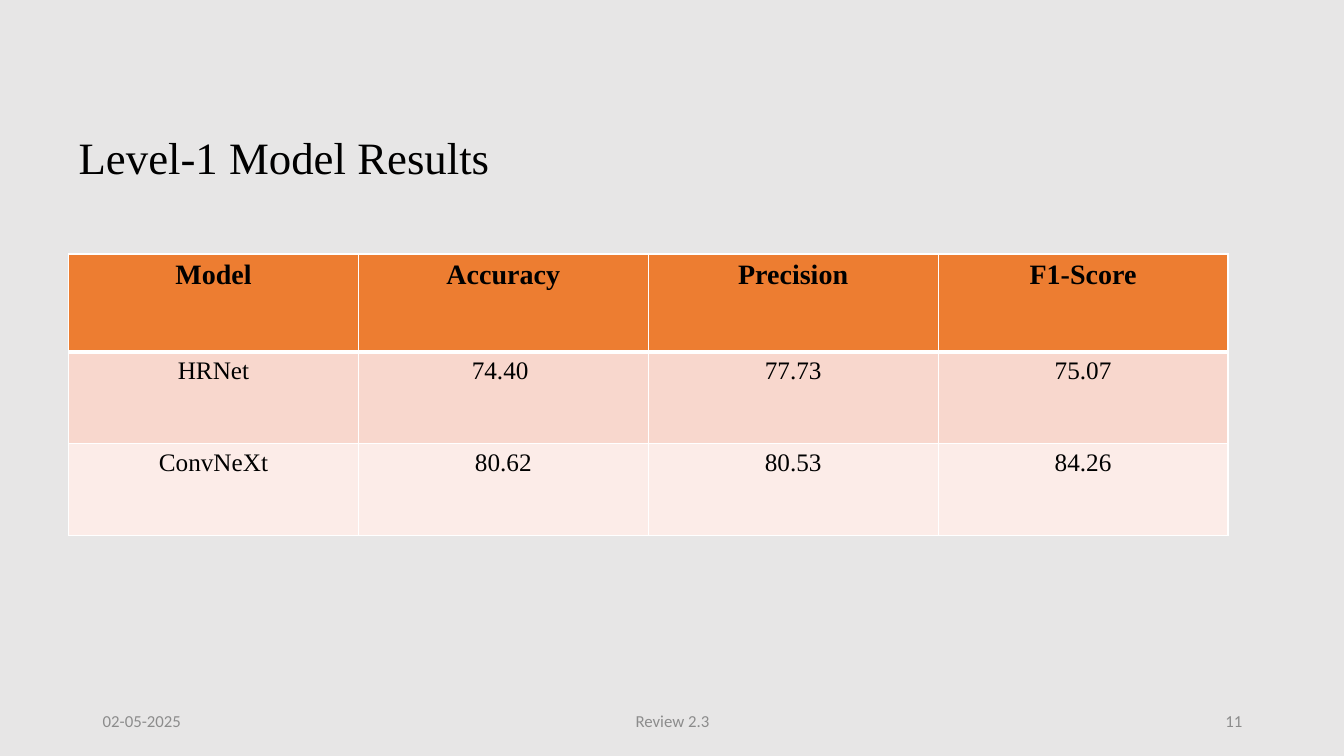
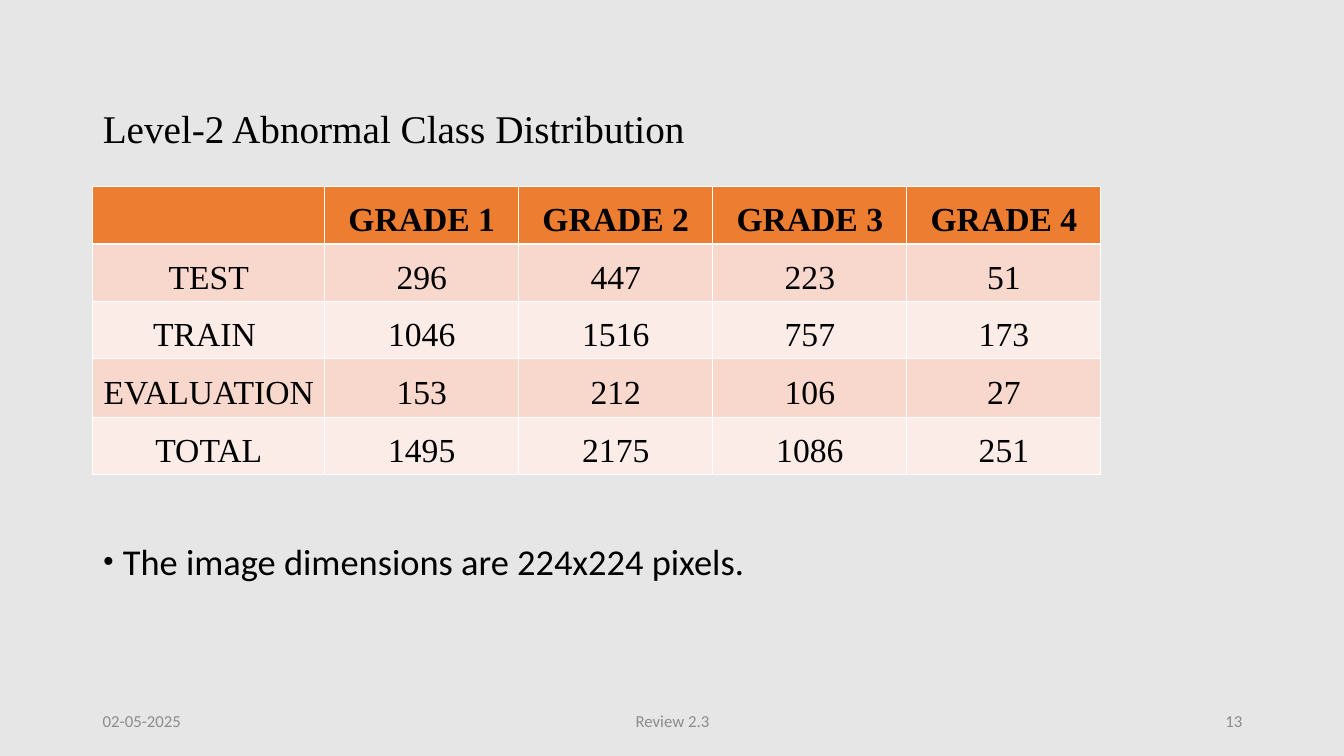
from pptx import Presentation
from pptx.dml.color import RGBColor
from pptx.enum.text import MSO_ANCHOR, PP_ALIGN
from pptx.oxml import parse_xml
from pptx.oxml.ns import nsdecls
from pptx.util import Inches, Pt

BACKGROUND = RGBColor(0xE7, 0xE6, 0xE6)
ORANGE = RGBColor(0xED, 0x7D, 0x31)
BAND_DARK = RGBColor(0xF8, 0xD7, 0xCD)
BAND_LIGHT = RGBColor(0xFC, 0xEC, 0xE8)
WHITE = RGBColor(0xFF, 0xFF, 0xFF)
BLACK = RGBColor(0, 0, 0)
GREY = RGBColor(0x8C, 0x8C, 0x8C)
SERIF, SANS = "Times New Roman", "Calibri"
TITLE_ONLY = 5


def set_font(paragraph, name, size, color=BLACK, bold=False):
    for run in paragraph.runs:
        font = run.font
        font.name, font.size, font.bold = name, Pt(size), bold
        font.color.rgb = color


def set_borders(cell, widths):
    """Draw white cell borders; widths maps L, R, T and B to points."""
    properties = cell._tc.get_or_add_tcPr()
    for side in "LRTB":
        properties.append(parse_xml(
            f'<a:ln{side} {nsdecls("a")} w="{Pt(widths[side])}"><a:solidFill>'
            f'<a:srgbClr val="{WHITE}"/></a:solidFill></a:ln{side}>'))


class Deck:
    def __init__(self):
        self.presentation = Presentation()
        self.presentation.slide_width = Inches(13.33)
        self.presentation.slide_height = Inches(7.5)
        self.slide = None

    def add_slide(self, number):
        layout = self.presentation.slide_layouts[TITLE_ONLY]
        self.slide = self.presentation.slides.add_slide(layout)
        fill = self.slide.background.fill
        fill.solid()
        fill.fore_color.rgb = BACKGROUND
        # Footer: date, review name, slide number
        for text, left, width, align in (
                ("02-05-2025", 0.92, 3, PP_ALIGN.LEFT),
                ("Review 2.3", 4.42, 4.5, PP_ALIGN.CENTER),
                (str(number), 9.42, 3, PP_ALIGN.RIGHT)):
            line = self.text(text, left, 6.95, width, 0.4, SANS, 12, GREY)
            line.alignment = align

    def title(self, text, left, top, width, height, size):
        title = self.slide.shapes.title
        title.left, title.top = Inches(left), Inches(top)
        title.width, title.height = Inches(width), Inches(height)
        frame = title.text_frame
        frame.text = text
        frame.vertical_anchor = MSO_ANCHOR.MIDDLE
        paragraph = frame.paragraphs[0]
        paragraph.alignment = PP_ALIGN.LEFT
        paragraph.line_spacing = 0.9
        set_font(paragraph, SERIF, size)

    def text(self, text, left, top, width, height, font, size, color=BLACK):
        box = self.slide.shapes.add_textbox(
            Inches(left), Inches(top), Inches(width), Inches(height))
        frame = box.text_frame
        frame.word_wrap = True
        frame.vertical_anchor = MSO_ANCHOR.MIDDLE
        frame.text = text
        set_font(frame.paragraphs[0], font, size, color)
        return frame.paragraphs[0]

    def bullet(self, text, left, top, width, height, size):
        paragraph = self.text(text, left, top, width, height, SANS, size)
        properties = paragraph._p.get_or_add_pPr()
        properties.set("marL", str(Inches(0.2)))
        properties.set("indent", str(-Inches(0.2)))
        for element in ('buSzPct {} val="92000"',
                        f'buFont {{}} typeface="{SERIF}"',
                        'buChar {} char="•"'):
            properties.append(parse_xml(f'<a:{element.format(nsdecls("a"))}/>'))

    def table(self, rows, left, top, widths, heights, head_size, body_size,
              line, head_line, anchor=MSO_ANCHOR.TOP, margins=None):
        table = self.slide.shapes.add_table(
            len(rows), len(widths), Inches(left), Inches(top),
            Inches(sum(widths)), Inches(sum(heights))).table
        for column, width in zip(table.columns, widths):
            column.width = Inches(width)
        for index, (row, height) in enumerate(zip(rows, heights)):
            table.rows[index].height = Inches(height)
            header = index == 0
            borders = {"L": line, "R": line,
                       "T": head_line if index == 1 else line,
                       "B": head_line if header else line}
            band = BAND_DARK if index % 2 else BAND_LIGHT
            for cell, text in zip(table.rows[index].cells, row):
                set_borders(cell, borders)
                cell.fill.solid()
                cell.fill.fore_color.rgb = ORANGE if header else band
                cell.vertical_anchor = anchor
                if margins:
                    (cell.margin_left, cell.margin_top, cell.margin_right,
                     cell.margin_bottom) = map(Inches, margins)
                if text:
                    cell.text_frame.text = text
                    paragraph = cell.text_frame.paragraphs[0]
                    paragraph.alignment = PP_ALIGN.CENTER
                    set_font(paragraph, SERIF,
                             head_size if header else body_size, bold=header)


def main():
    deck = Deck()

    # Level-1 results
    deck.add_slide(11)
    deck.title("Level-1 Model Results", 0.68, 1.05, 12.29, 1.07, 32)
    results = [("Model", "Accuracy", "Precision", "F1-Score"),
               ("HRNet", "74.40 ", "77.73", "75.07"),
               ("ConvNeXt", "80.62", "80.53", "84.26")]
    deck.table(results, 0.68, 2.52, [2.875] * 4, [0.97, 0.91, 0.91],
               head_size=20, body_size=18, line=1, head_line=3)

    # Level-2 class distribution
    deck.add_slide(13)
    deck.title("Level-2 Abnormal Class Distribution", 0.92, 0.81, 11.5, 0.98, 28)
    distribution = [("", "GRADE 1", "GRADE 2", "GRADE 3", "GRADE 4"),
                    ("TEST", "296", "447", "223", "51"),
                    ("TRAIN ", "1046", "1516", "757", "173"),
                    ("EVALUATION", "153", "212", "106", "27"),
                    ("TOTAL", "1495", "2175", "1086", "251")]
    deck.table(distribution, 0.92, 1.85, [2.3] + [1.925] * 4,
               [0.57, 0.57, 0.57, 0.58, 0.57], head_size=24, body_size=24,
               line=0.75, head_line=1.92, anchor=MSO_ANCHOR.BOTTOM,
               margins=(0.01, 0.01, 0.01, 0.05))
    deck.bullet("The image dimensions are 224x224 pixels.",
                0.92, 5.3, 10.96, 0.54, 26)

    deck.presentation.save("out.pptx")


if __name__ == "__main__":
    main()
